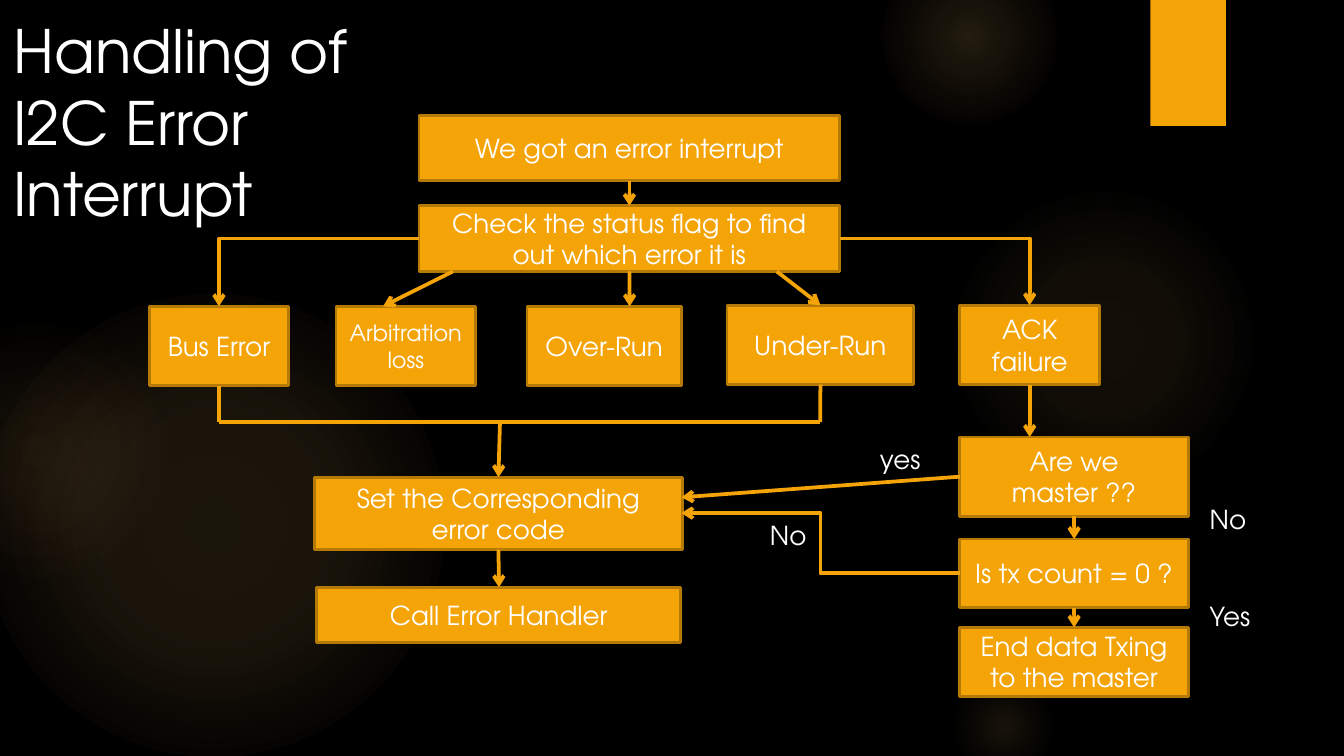
from pptx import Presentation, oxml
from pptx import util as u
from pptx.dml import color
from pptx.enum import shapes, text
from pptx.oxml import ns

FONT = "TeX Gyre Adventor"
ORANGE, BROWN, WHITE, BLACK = "F5A408", "B57906", "FFFFFF", "000000"
AMBER, PEACH = "FAC96A", "F59B74"
TOP, LEFT, BOTTOM, RIGHT = range(4)


def colour(value):
    """Return the colour for a hex string."""
    return color.RGBColor.from_string(value)


def lengths(*values):
    """Return the values as centimetre lengths."""
    return [u.Cm(value) for value in values]


def format_text(shape, size, alignment):
    """Format every paragraph and run of a shape."""
    for paragraph in shape.text_frame.paragraphs:
        paragraph.alignment = alignment
        for run in paragraph.runs:
            run.font.name = FONT
            run.font.size = u.Pt(size)
            run.font.color.rgb = colour(WHITE)


def add_plain(slide, kind, left, top, width, height):
    """Add a preset shape without a shadow."""
    shape = slide.shapes.add_shape(kind, *lengths(left, top, width, height))
    shape.shadow.inherit = False
    return shape


def add_glow(slide, left, top, size, stops):
    """Add a soft circle whose stops are position, colour and opacity."""
    shape = add_plain(slide, shapes.MSO_SHAPE.OVAL, left, top, size, size)
    shape.line.fill.background()
    stop_xml = "".join(
        f'<a:gs pos="{position * 1000}"><a:srgbClr val="{value}">'
        f'<a:alpha val="{opacity * 1000}"/></a:srgbClr></a:gs>'
        for position, value, opacity in stops)
    gradient = oxml.parse_xml(
        f'<a:gradFill {ns.nsdecls("a")}><a:gsLst>{stop_xml}</a:gsLst>'
        '<a:path path="circle"><a:fillToRect l="50000" t="50000" r="50000" b="50000"/>'
        '</a:path></a:gradFill>')
    shape._element.spPr.insert(2, gradient)


def draw_backdrop(slide, left, top):
    """Draw the black background, the glows and the orange tab."""
    slide.background.fill.solid()
    slide.background.fill.fore_color.rgb = colour(BLACK)
    glows = [
        (-0.33, 5.56, 8.73, [(0, AMBER, 11), (36, AMBER, 10), (75, AMBER, 0)]),
        (-1.75, 6.05, 4.92, [(0, AMBER, 8), (36, AMBER, 5), (71, PEACH, 0)]),
        (17.93, 3.5, 5.87, [(0, AMBER, 7), (36, AMBER, 6), (69, AMBER, 0)]),
        (16.66, -0.97, 3.33, [(0, AMBER, 14), (36, AMBER, 7), (73, AMBER, 0)]),
        (17.93, 12.7, 2.06, [(0, AMBER, 10), (31, AMBER, 5), (66, AMBER, 0)]),
    ]
    for x, y, size, stops in glows:
        add_glow(slide, left + x, top + y, size, stops)
    tab = add_plain(slide, shapes.MSO_SHAPE.RECTANGLE, left + 21.74, top, 1.43, 2.38)
    tab.fill.solid()
    tab.fill.fore_color.rgb = colour(ORANGE)
    tab.line.fill.background()
    tab._element.spPr.find(ns.qn("a:effectLst")).append(oxml.parse_xml(
        f'<a:outerShdw {ns.nsdecls("a")} blurRad="38100" dist="25400" dir="5400000">'
        f'<a:srgbClr val="{BLACK}"><a:alpha val="45000"/></a:srgbClr></a:outerShdw>'))


def draw_title(slide, left, top, width, height):
    """Place the title placeholder in the given box."""
    title = slide.shapes.title
    title.left, title.top, title.width, title.height = lengths(left, top, width, height)
    frame = title.text_frame
    frame.text = "Handling of I2C Error Interrupt"
    frame.word_wrap = True
    frame.auto_size = text.MSO_AUTO_SIZE.NONE
    frame.vertical_anchor = text.MSO_ANCHOR.TOP
    format_text(title, 32, text.PP_ALIGN.LEFT)


def add_step(slide, left, top, width, height, wording, size=14):
    """Add one box of the flowchart."""
    step = add_plain(slide, shapes.MSO_SHAPE.RECTANGLE, left, top, width, height)
    step.fill.solid()
    step.fill.fore_color.rgb = colour(ORANGE)
    step.line.color.rgb = colour(BROWN)
    step.line.width = u.Pt(1.5)
    step.text_frame.text = wording
    step.text_frame.word_wrap = True
    step.text_frame.vertical_anchor = text.MSO_ANCHOR.MIDDLE
    format_text(step, size, text.PP_ALIGN.CENTER)
    return step


def side_point(step, side):
    """Return the middle of one side of a box."""
    across = {LEFT: 0, RIGHT: step.width}.get(side, step.width // 2)
    down = {TOP: 0, BOTTOM: step.height}.get(side, step.height // 2)
    return step.left + across, step.top + down


def add_link(slide, begin, end, arrow=True, preset="line"):
    """Link two ends, each a point or a (box, side) pair."""
    joins = [hasattr(place[0], "text_frame") for place in (begin, end)]
    points = [side_point(*place) if join else place
              for place, join in zip((begin, end), joins)]
    straight = preset == "line"
    kind = shapes.MSO_CONNECTOR.STRAIGHT if straight else shapes.MSO_CONNECTOR.ELBOW
    link = slide.shapes.add_connector(kind, *points[0], *points[1])
    if joins[0] and straight:
        link.begin_connect(*begin)
    if joins[1] and straight:
        link.end_connect(*end)
    link.line.color.rgb = colour(ORANGE)
    link.line.width = u.Pt(2)
    properties = link._element.spPr
    properties.find(ns.qn("a:prstGeom")).set("prst", preset)
    if arrow:
        link.line._ln.append(oxml.parse_xml(f'<a:tailEnd {ns.nsdecls("a")} type="arrow"/>'))
    properties.append(oxml.parse_xml(f'<a:effectLst {ns.nsdecls("a")}/>'))


def add_label(slide, left, top, width, wording):
    """Add a short answer beside a link."""
    label = slide.shapes.add_textbox(*lengths(left, top, width, 0.86))
    label.text_frame.text = wording
    label.text_frame.word_wrap = False
    format_text(label, 14, text.PP_ALIGN.LEFT)


def draw_flowchart(slide, left, top):
    """Draw the error flow from its top left corner."""
    def step(x, y, *rest):
        """Add a box at an offset in the chart."""
        return add_step(slide, left + x, top + y, *rest)

    def point(x, y):
        """Return a point at an offset in the chart."""
        return tuple(lengths(left + x, top + y))

    interrupt = step(5.1, 0, 7.95, 1.24, "We got an error interrupt")
    check = step(5.1, 1.71, 7.95, 1.24, "Check the status flag to find out which error it is")
    bus = step(0, 3.61, 2.64, 1.5, "Bus Error")
    step(3.53, 3.61, 2.64, 1.5, "Arbitration loss", 12)
    step(7.14, 3.61, 2.92, 1.5, "Over-Run")
    under = step(10.92, 3.59, 3.53, 1.5, "Under-Run")
    ack = step(15.32, 3.59, 2.64, 1.5, "ACK failure")
    code = step(3.12, 6.84, 6.96, 1.37, "Set the Corresponding error code")
    handler = step(3.17, 8.92, 6.88, 1.04, "Call Error Handler")
    master = step(15.32, 6.08, 4.32, 1.5, "Are we master ??")
    count = step(15.32, 8.01, 4.32, 1.3, "Is tx count = 0 ?")
    finish = step(15.32, 9.68, 4.32, 1.3, "End data Txing to the master")

    arrows = [
        ((interrupt, BOTTOM), (check, TOP)),
        ((check, BOTTOM), point(9.08, 3.61)),
        (point(5.74, 2.95), point(4.42, 3.61)),
        (point(11.86, 2.95), (under, TOP)),
        (point(6.63, 5.8), (code, TOP)),
        ((code, BOTTOM), (handler, TOP)),
        ((ack, BOTTOM), point(16.64, 6.08)),
        ((master, BOTTOM), (count, TOP)),
        ((count, BOTTOM), (finish, TOP)),
        ((master, LEFT), point(10.06, 7.22)),
    ]
    for begin, end in arrows:
        add_link(slide, begin, end)
    add_link(slide, (check, LEFT), (bus, TOP), preset="bentConnector2")
    add_link(slide, (check, RIGHT), (ack, TOP), preset="bentConnector2")
    add_link(slide, (count, LEFT), point(10.06, 7.52), preset="bentConnector3")

    merge_left, merge_right = point(1.32, 5.8), point(12.68, 5.8)
    add_link(slide, merge_left, merge_right, arrow=False)
    add_link(slide, merge_left, (bus, BOTTOM), arrow=False)
    add_link(slide, merge_right, (under, BOTTOM), arrow=False)

    for x, y, width, wording in [(13.56, 6.08, 1.3, "yes"), (19.79, 7.22, 1.22, "No"),
                                 (19.79, 9.05, 1.32, "Yes"), (11.48, 7.52, 1.22, "No")]:
        add_label(slide, left + x, top + y, width, wording)


def main():
    """Build and save the presentation."""
    presentation = Presentation()
    presentation.slide_width, presentation.slide_height = lengths(25.4, 14.29)
    slide = presentation.slides.add_slide(presentation.slide_layouts[5])
    draw_backdrop(slide, 0, 0)
    draw_title(slide, 0, 0.13, 7.01, 4.37)
    draw_flowchart(slide, 2.82, 2.18)
    presentation.save("out.pptx")


if __name__ == "__main__":
    main()
